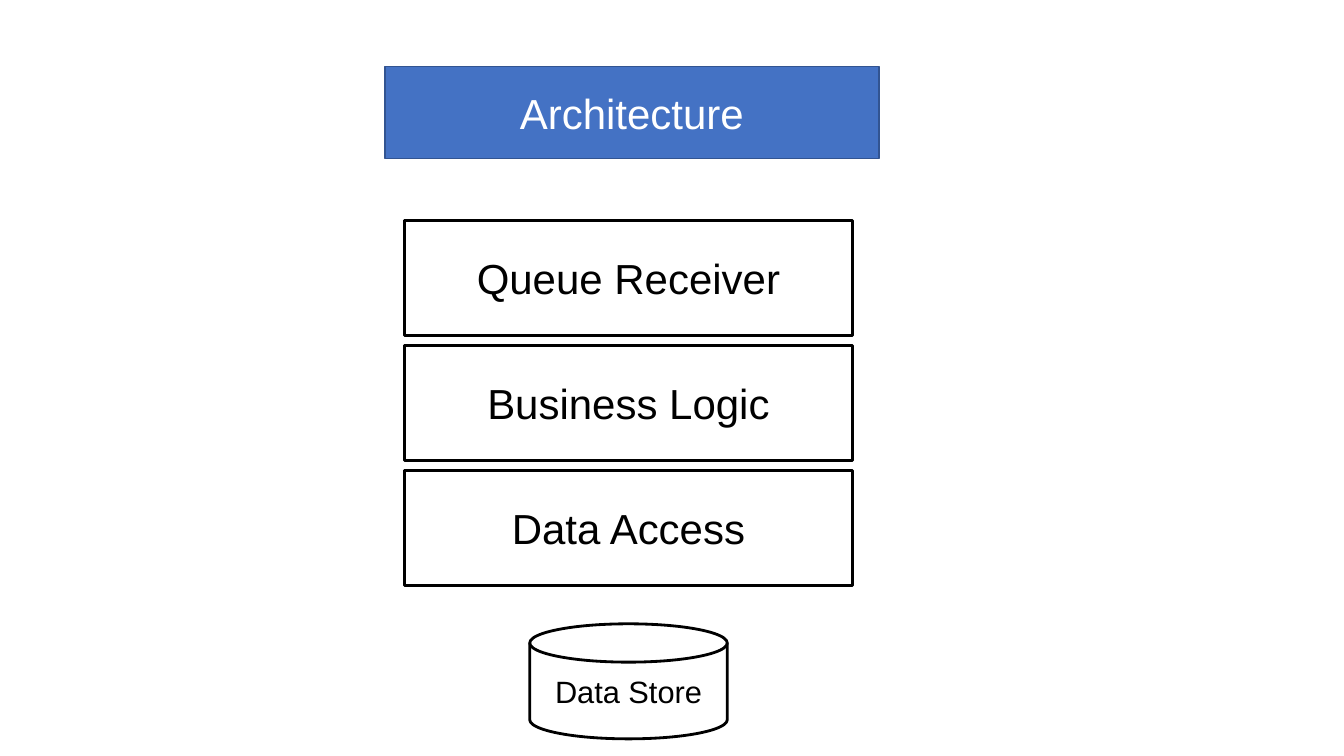
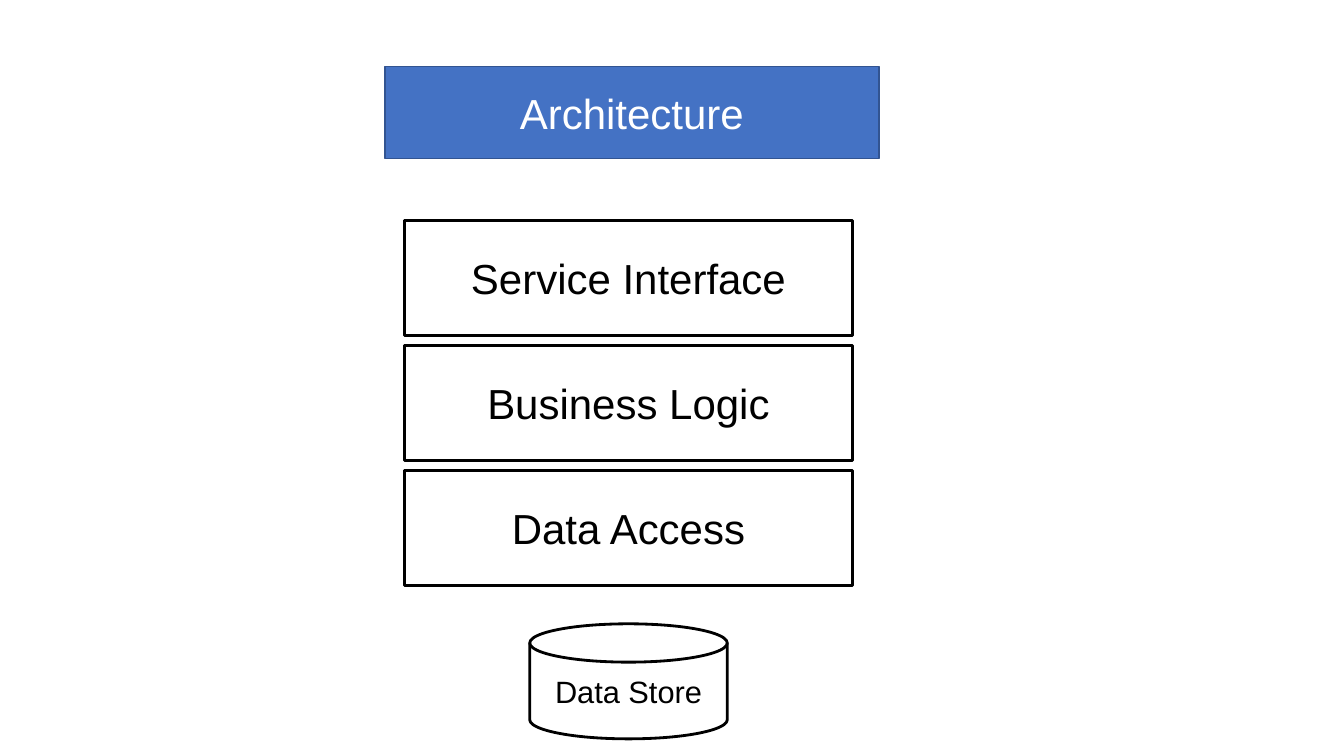
from dataclasses import dataclass

from pptx import Presentation
from pptx.dml.color import RGBColor
from pptx.enum.shapes import MSO_SHAPE
from pptx.enum.text import MSO_ANCHOR, PP_ALIGN
from pptx.util import Cm, Pt


@dataclass(frozen=True)
class Theme:
    font: str = "Arial"
    banner_fill: str = "4472C4"
    banner_edge: str = "325491"
    banner_text: str = "FFFFFF"
    ink: str = "000000"
    large: int = 30
    small: int = 22
    thin: float = 1
    thick: float = 2


def write_text(shape, text, *, font, size, color):
    frame = shape.text_frame
    frame.word_wrap = True
    frame.vertical_anchor = MSO_ANCHOR.MIDDLE
    paragraph = frame.paragraphs[0]
    paragraph.alignment = PP_ALIGN.CENTER
    run = paragraph.add_run()
    run.text = text
    run.font.name = font
    run.font.size = Pt(size)
    run.font.color.rgb = RGBColor.from_string(color)


class ArchitectureDeck:
    LAYER_LEFT, LAYER_TOP = 10.19, 5.56
    LAYER_WIDTH, LAYER_HEIGHT = 11.3, 2.9
    LAYER_GAP = 0.25
    STORE_WIDTH, STORE_TOP = 4.98, 15.72

    def __init__(self, theme):
        self.theme = theme
        self.deck = Presentation()
        self.deck.slide_width = Cm(33.87)
        self.deck.slide_height = Cm(19.05)
        self.slide = None

    def new_slide(self):
        self.slide = self.deck.slides.add_slide(self.deck.slide_layouts[6])

    def outlined(self, kind, box, edge, weight, fill=None):
        shape = self.slide.shapes.add_shape(kind, *map(Cm, box))
        shape.shadow.inherit = False
        if fill:
            shape.fill.solid()
            shape.fill.fore_color.rgb = RGBColor.from_string(fill)
        else:
            shape.fill.background()
        shape.line.color.rgb = RGBColor.from_string(edge)
        shape.line.width = Pt(weight)
        return shape

    def banner(self, text):
        theme = self.theme
        banner = self.outlined(MSO_SHAPE.RECTANGLE, (9.7, 1.68, 12.45, 2.31),
                               theme.banner_edge, theme.thin, theme.banner_fill)
        write_text(banner, text, font=theme.font, size=theme.large,
                   color=theme.banner_text)

    def layers(self, names):
        theme = self.theme
        pitch = self.LAYER_HEIGHT + self.LAYER_GAP
        for row, name in enumerate(names):
            box = (self.LAYER_LEFT, self.LAYER_TOP + row * pitch,
                   self.LAYER_WIDTH, self.LAYER_HEIGHT)
            layer = self.outlined(MSO_SHAPE.RECTANGLE, box, theme.ink, theme.thick)
            write_text(layer, name, font=theme.font, size=theme.large,
                       color=theme.ink)

    def store(self, text):
        theme = self.theme
        left = self.LAYER_LEFT + (self.LAYER_WIDTH - self.STORE_WIDTH) / 2
        box = (left, self.STORE_TOP, self.STORE_WIDTH, self.LAYER_HEIGHT)
        store = self.outlined(MSO_SHAPE.FLOWCHART_MAGNETIC_DISK, box,
                              theme.ink, theme.thick)
        write_text(store, text, font=theme.font, size=theme.small, color=theme.ink)


def main():
    architecture = ArchitectureDeck(Theme())
    for entry_layer in ("Queue Receiver", "Service Interface"):
        architecture.new_slide()
        architecture.banner("Architecture")
        architecture.layers((entry_layer, "Business Logic", "Data Access"))
        architecture.store("Data Store")
    architecture.deck.save("out.pptx")


if __name__ == "__main__":
    main()
